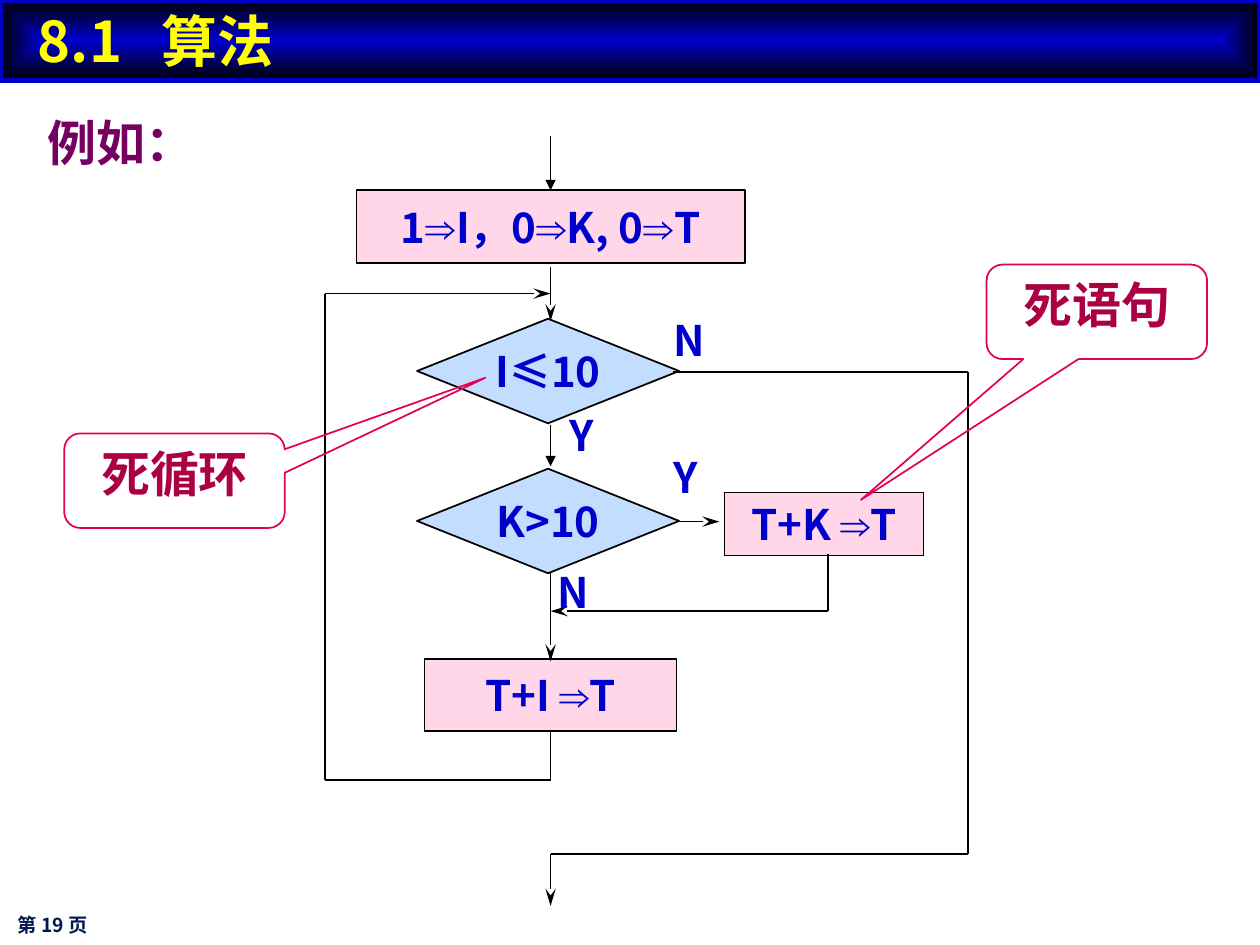
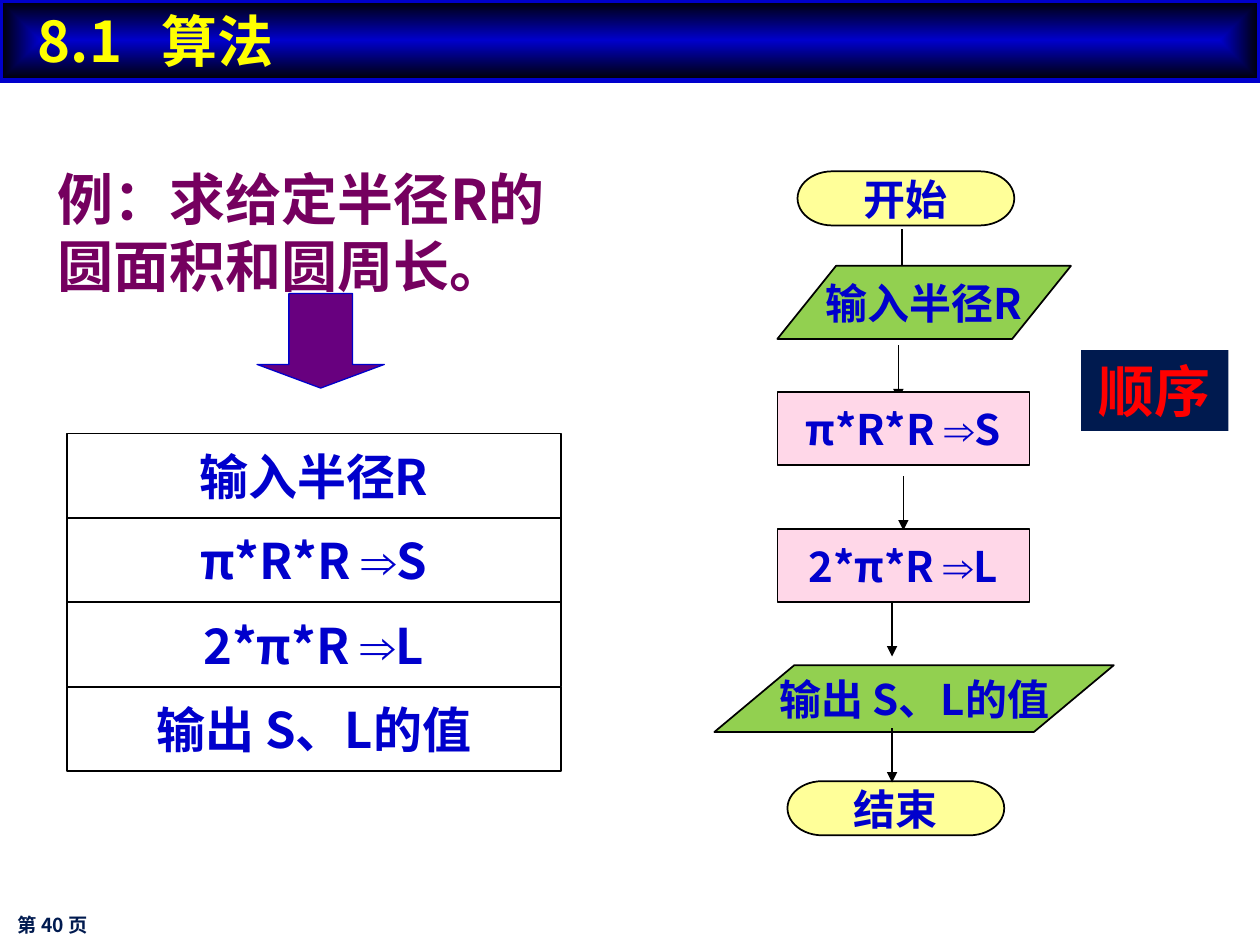
import pptx
import pptx.util
import pptx.dml.color
import pptx.enum.shapes
import pptx.enum.text
import pptx.oxml.ns
from lxml import etree

Inches = pptx.util.Inches
Pt = pptx.util.Pt
RGBColor = pptx.dml.color.RGBColor
SHAPES = pptx.enum.shapes.MSO_SHAPE
ALIGN = pptx.enum.text.PP_ALIGN
qn = pptx.oxml.ns.qn

BLACK = RGBColor(0x00, 0x00, 0x00)
BLUE = RGBColor(0x00, 0x00, 0xCC)
NAVY = RGBColor(0x00, 0x1A, 0x4F)
YELLOW = RGBColor(0xFF, 0xFF, 0x00)
RED = RGBColor(0xFF, 0x00, 0x00)
PLUM = RGBColor(0x75, 0x00, 0x5F)
VIOLET = RGBColor(0x68, 0x00, 0x7F)
CRIMSON = RGBColor(0xAB, 0x00, 0x43)
ROSE = RGBColor(0xE4, 0x00, 0x59)
PINK = RGBColor(0xFF, 0xD7, 0xE8)
SKY = RGBColor(0xC3, 0xDD, 0xFF)
GREEN = RGBColor(0x92, 0xD0, 0x50)
CREAM = RGBColor(0xFF, 0xFF, 0x99)

BODY_FONT = "Noto Sans CJK SC"
TITLE_FONT = "Noto Sans CJK JP"
ARROW_FONT = "Arial"
TITLE = "8.1\t算法"

# Flowchart node styles: preset shape and fill
PROCESS = (SHAPES.FLOWCHART_PROCESS, PINK)
DECISION = (SHAPES.FLOWCHART_DECISION, SKY)
TERMINATOR = (SHAPES.FLOWCHART_TERMINATOR, CREAM)
DATA = (SHAPES.FLOWCHART_DATA, GREEN)

# Arrowhead styles: type and length
TRIANGLE = ("triangle", "med")
STEALTH = ("stealth", "lg")

# Slide 1: nodes, branch labels, callouts and flow lines
SPINE, LOOP_LEFT, EXIT_RIGHT = 4.37, 2.58, 7.68
LOOP_NODES = [
    (PROCESS, (2.83, 1.51, 3.08, 0.58), "1⇒I，0⇒K, 0⇒T"),
    (DECISION, (3.31, 2.53, 2.08, 0.83), "I≤10"),
    (DECISION, (3.31, 3.72, 2.08, 0.83), "K>10"),
    (PROCESS, (5.75, 3.91, 1.58, 0.5), "T+K ⇒T"),
    (PROCESS, (3.37, 5.23, 2, 0.57), "T+I ⇒T"),
]
BRANCH_LABELS = [("N", 5.25, 2.45), ("Y", 4.42, 3.2), ("Y", 5.25, 3.53), ("N", 4.33, 4.45)]
CALLOUTS = [
    ("死循环", 0.51, 3.44, (1.41, -1.09, 0.17)),
    ("死语句", 7.83, 2.1, (-1.07, 1.99, 0.17)),
]
# Each flow: its corner points, then the arrowhead at the last point
LOOP_FLOWS = [
    ([(SPINE, 1.08), (SPINE, 1.51)], TRIANGLE),
    ([(SPINE, 2.12), (SPINE, 2.55)], STEALTH),
    ([(SPINE, 3.37), (SPINE, 3.7)], TRIANGLE),
    ([(SPINE, 4.54), (SPINE, 5.25)], STEALTH),
    ([(5.38, 4.14), (5.71, 4.14)], STEALTH),
    ([(6.57, 4.4), (6.57, 4.85), (SPINE, 4.85)], STEALTH),
    ([(SPINE, 5.8), (SPINE, 6.19), (LOOP_LEFT, 6.19), (LOOP_LEFT, 2.33), (SPINE, 2.33)], STEALTH),
    ([(5.34, 2.95), (EXIT_RIGHT, 2.95), (EXIT_RIGHT, 6.78), (SPINE, 6.78), (SPINE, 7.19)], STEALTH),
]

# Slide 2: structured chart rows and flowchart
STEPS = ["输入半径R", "π*R*R ⇒S", "2*π*R ⇒L", "输出 S、L的值"]
STEP_LEFT, STEP_TOP, STEP_WIDTH, STEP_HEIGHT = 0.53, 3.44, 3.92, 0.67
SEQUENCE_NODES = [
    (TERMINATOR, (6.33, 1.36, 1.72, 0.43), "开始"),
    (DATA, (6.17, 2.11, 2.33, 0.58), STEPS[0]),
    (PROCESS, (6.17, 3.11, 2, 0.58), STEPS[1]),
    (PROCESS, (6.17, 4.2, 2, 0.58), STEPS[2]),
    (DATA, (5.67, 5.28, 3.17, 0.53), STEPS[3]),
    (TERMINATOR, (6.25, 6.2, 1.72, 0.43), "结束"),
]
ARROWS_BEHIND_NODES = [(7.16, 1.82), (7.13, 2.74), (7.17, 3.78), (7.08, 4.78)]
ARROWS_OVER_NODES = [(7.08, 5.78)]
ARROW_LENGTH = 0.43


def set_east_asian_font(properties, name):
    etree.SubElement(properties, qn("a:ea")).set("typeface", name)


def write_text(shape, text, size, color, align=ALIGN.LEFT, wrap=True, font=BODY_FONT):
    """Write one middle-anchored paragraph, giving each ⇒ its own font."""
    frame = shape.text_frame
    frame.word_wrap = wrap
    frame.auto_size = pptx.enum.text.MSO_AUTO_SIZE.NONE
    frame.vertical_anchor = pptx.enum.text.MSO_ANCHOR.MIDDLE
    paragraph = frame.paragraphs[0]
    paragraph.alignment = align
    for index, piece in enumerate(text.split("⇒")):
        if index:
            arrow = paragraph.add_run()
            arrow.text = "⇒"
            arrow.font.name = ARROW_FONT
            set_east_asian_font(arrow.font._element, ARROW_FONT)
        if piece:
            paragraph.add_run().text = piece
    paragraph.font.size = Pt(size)
    paragraph.font.bold = True
    paragraph.font.name = font
    paragraph.font.color.rgb = color
    set_east_asian_font(paragraph._p.pPr.find(qn("a:defRPr")), font)
    return paragraph


def add_label(slide, place, text, size, color, wrap=True):
    box = slide.shapes.add_textbox(*map(Inches, place))
    return write_text(box, text, size, color, wrap=wrap)


def add_box(slide, kind, place, fill=None, line=BLACK, width=1, adjustments=()):
    shape = slide.shapes.add_shape(kind, *map(Inches, place))
    shape.shadow.inherit = False
    for index, value in enumerate(adjustments):
        shape.adjustments[index] = value
    if fill is None:
        shape.fill.background()
    else:
        shape.fill.solid()
        shape.fill.fore_color.rgb = fill
    if line is None:
        shape.line.fill.background()
    else:
        shape.line.color.rgb = line
        shape.line.width = Pt(width)
    return shape


def add_nodes(slide, nodes):
    for (kind, fill), place, text in nodes:
        node = add_box(slide, kind, place, fill)
        write_text(node, text, 24, BLUE, ALIGN.CENTER, wrap=False)


def add_flow(slide, points, head):
    """Join the points with straight lines; the last line carries the head."""
    head_type, head_length = head
    for start, end in zip(points, points[1:]):
        connector = slide.shapes.add_connector(
            pptx.enum.shapes.MSO_CONNECTOR.STRAIGHT, *map(Inches, start + end))
        connector.line.color.rgb = BLACK
        connector.line.width = Pt(1)
        properties = connector._element.spPr
        etree.SubElement(properties, qn("a:effectLst"))
        if end == points[-1]:
            tail = etree.SubElement(properties.find(qn("a:ln")), qn("a:tailEnd"))
            tail.set("type", head_type)
            tail.set("len", head_length)


def add_down_arrows(slide, starts):
    for left, top in starts:
        add_flow(slide, [(left, top), (left, top + ARROW_LENGTH)], TRIANGLE)


def fill_from_centre(shape, inner, outer):
    """Fill with a rectangular gradient that runs from the centre outwards."""
    shape.fill.gradient()
    for stop, color, position in zip(shape.fill.gradient_stops, (inner, outer), (0, 1)):
        stop.color.rgb = color
        stop.position = position
    gradient = shape._element.spPr.find(qn("a:gradFill"))
    gradient.remove(gradient.find(qn("a:lin")))
    shading = etree.SubElement(gradient, qn("a:path"))
    shading.set("path", "rect")
    centre = etree.SubElement(shading, qn("a:fillToRect"))
    for side in "ltrb":
        centre.set(side, "50000")


def add_titled_slide(presentation, page):
    slide = presentation.slides.add_slide(presentation.slide_layouts[5])
    title = slide.shapes.title
    title.left, title.top, title.width, title.height = map(Inches, (0, 0, 10, 0.64))
    fill_from_centre(title, BLUE, BLACK)
    title.line.color.rgb = BLUE
    title.line.width = Pt(3)
    frame = title.text_frame
    frame.margin_left = Inches(0.3)
    frame.margin_top = frame.margin_bottom = 0
    tabs = etree.SubElement(frame.paragraphs[0]._p.get_or_add_pPr(), qn("a:tabLst"))
    tab = etree.SubElement(tabs, qn("a:tab"))
    tab.set("pos", str(Inches(0.98)))
    tab.set("algn", "l")
    write_text(title, TITLE, 32, YELLOW, font=TITLE_FONT)
    add_label(slide, (0.04, 7.15, 2.67, 0.38), f"第 {page} 页", 11, NAVY)
    return slide


def build_loop_slide(presentation):
    slide = add_titled_slide(presentation, 19)
    add_label(slide, (0.28, 0.84, 1.36, 0.57), "例如：", 28, PLUM, wrap=False)
    add_nodes(slide, LOOP_NODES)
    for points, head in LOOP_FLOWS:
        add_flow(slide, points, head)
    for text, left, top in BRANCH_LABELS:
        add_label(slide, (left, top, 0.67, 0.5), text, 24, BLUE)
    for text, left, top, adjustments in CALLOUTS:
        callout = add_box(slide, SHAPES.ROUNDED_RECTANGULAR_CALLOUT,
                          (left, top, 1.75, 0.75), line=ROSE, adjustments=adjustments)
        callout.text_frame.margin_bottom = Inches(0.17)
        write_text(callout, text, 28, CRIMSON, ALIGN.CENTER)


def build_sequence_slide(presentation):
    slide = add_titled_slide(presentation, 40)
    heading = add_label(slide, (0.36, 0.99, 4.08, 1.7),
                        "例：求给定半径R的圆面积和圆周长。", 32, PLUM)
    heading.line_spacing = Pt(38.4)
    # Keep the full stop inside the box, so that it wraps with the last character
    heading._p.pPr.set("hangingPunct", "0")
    add_box(slide, SHAPES.DOWN_ARROW, (2.04, 2.33, 1.01, 0.75), VIOLET, BLUE, 0.75, (0.5, 0.25))
    for index, step in enumerate(STEPS):
        top = STEP_TOP + index * STEP_HEIGHT
        row = add_box(slide, SHAPES.RECTANGLE, (STEP_LEFT, top, STEP_WIDTH, STEP_HEIGHT))
        write_text(row, step, 28, BLUE, ALIGN.CENTER, wrap=False)
    add_down_arrows(slide, ARROWS_BEHIND_NODES)
    add_nodes(slide, SEQUENCE_NODES)
    add_down_arrows(slide, ARROWS_OVER_NODES)
    badge = add_box(slide, SHAPES.RECTANGLE, (8.58, 2.78, 1.17, 0.64), NAVY, line=None)
    badge.text_frame.margin_top = badge.text_frame.margin_bottom = 0
    write_text(badge, "顺序", 32, RED, ALIGN.CENTER)


def main():
    presentation = pptx.Presentation()
    presentation.slide_width = Inches(10)
    presentation.slide_height = Inches(7.5)
    build_loop_slide(presentation)
    build_sequence_slide(presentation)
    presentation.save("out.pptx")


if __name__ == "__main__":
    main()
